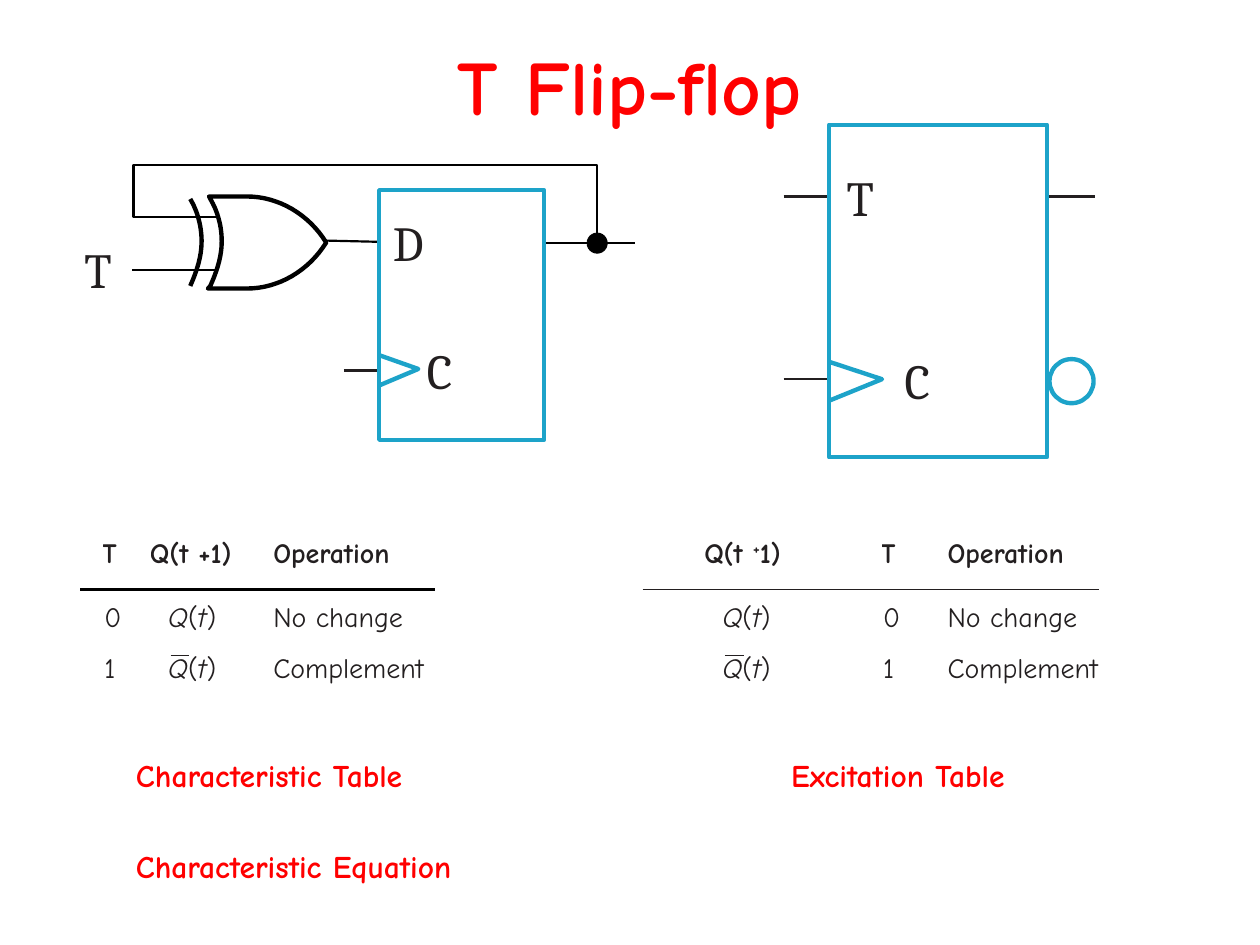
from dataclasses import dataclass

from lxml import etree
from pptx import Presentation
from pptx import util as u
from pptx.dml import color
from pptx.enum import shapes, text
from pptx.oxml import ns


@dataclass(frozen=True)
class Theme:
    """Colours, fonts and sizes of the slide."""
    red: str = "FF0000"
    black: str = "000000"
    ink: str = "231F20"
    blue: str = "1DA3C9"
    white: str = "FFFFFF"
    body_font: str = "Comic Neue"
    symbol_font: str = "Cambria"
    title_size: float = 44
    symbol_size: float = 28
    caption_size: float = 18
    table_size: float = 16
    wire: float = 1.25
    outline: float = 2.5
    hairline: float = 0.5


THEME = Theme()


def rgb(value):
    """Turn a hex string into a colour."""
    return color.RGBColor.from_string(value)


def format_font(font, name, size, colour, bold=False, italic=False):
    """Apply a complete font setting."""
    font.name, font.size = name, u.Pt(size)
    font.bold, font.italic = bold, italic
    font.color.rgb = rgb(colour)


def add_wire(canvas, start, end, colour=THEME.black, width=THEME.wire):
    """Draw a straight line between two points."""
    ends = [u.Pt(value) for value in (*start, *end)]
    connector = canvas.add_connector(shapes.MSO_CONNECTOR.STRAIGHT, *ends)
    connector.line.color.rgb = rgb(colour)
    connector.line.width = u.Pt(width)
    etree.SubElement(connector._element.spPr, ns.qn("a:effectLst"))


def style_shape(shape, line, width, fill=None):
    """Set the outline and fill of a shape."""
    shape.shadow.inherit = False
    shape.line.color.rgb = rgb(line)
    shape.line.width = u.Pt(width)
    if fill:
        shape.fill.solid()
        shape.fill.fore_color.rgb = rgb(fill)
    else:
        shape.fill.background()


def add_preset(canvas, kind, box, line, width, fill=None):
    """Draw a preset shape in a box."""
    shape = canvas.add_shape(kind, *[u.Pt(value) for value in box])
    style_shape(shape, line, width, fill)


def add_outline(canvas, points, line, width, fill=None, close=False):
    """Draw a freeform through the points."""
    vertices = [(u.Pt(x), u.Pt(y)) for x, y in points]
    builder = canvas.build_freeform(*vertices[0], scale=1.0)
    builder.add_line_segments(vertices[1:], close=close)
    style_shape(builder.convert_to_shape(), line, width, fill)


def curve(start, first, second, end, steps=16):
    """Sample a cubic curve as points."""
    weights = [((1 - t) ** 3, 3 * t * (1 - t) ** 2, 3 * t * t * (1 - t), t ** 3)
               for t in (step / steps for step in range(steps + 1))]
    controls = (start, first, second, end)
    return [tuple(sum(w * point[axis] for w, point in zip(row, controls))
                  for axis in (0, 1)) for row in weights]


def add_label(canvas, label, position):
    """Place a pin letter without margins."""
    frame = canvas.add_textbox(*[u.Pt(v) for v in (*position, 22, 34)]).text_frame
    frame.margin_left = frame.margin_right = frame.margin_top = frame.margin_bottom = 0
    frame.word_wrap = False
    frame.text = label
    format_font(frame.paragraphs[0].runs[0].font, THEME.symbol_font,
                THEME.symbol_size, THEME.ink)


def add_title(slide, title, box):
    """Place and format the title placeholder."""
    shape = slide.shapes.title
    shape.left, shape.top, shape.width, shape.height = [u.Pt(v) for v in box]
    frame = shape.text_frame
    frame.text = title
    frame.vertical_anchor = text.MSO_ANCHOR.MIDDLE
    paragraph = frame.paragraphs[0]
    paragraph.alignment = text.PP_ALIGN.CENTER
    format_font(paragraph.runs[0].font, THEME.body_font, THEME.title_size,
                THEME.red, bold=True)


def add_caption(slide, caption, box):
    """Place a red caption."""
    frame = slide.shapes.add_textbox(*[u.Pt(v) for v in box]).text_frame
    frame.word_wrap = True
    frame.text = caption
    format_font(frame.paragraphs[0].runs[0].font, THEME.body_font,
                THEME.caption_size, THEME.red, bold=True)


def add_xor_gate(canvas, left, top):
    """Draw an exclusive-or gate from its top left corner."""
    def back(offset):
        """Return the concave back edge, bottom to top."""
        x = left + offset
        middle = (x + 6.5, top + 25.5)
        return (curve((x, top + 51.1), (x + 3.6, top + 43), (x + 6.5, top + 34.6), middle)
                + curve(middle, (x + 6.5, top + 17.3), (x + 4.3, top + 8.6), (x, top + 1.4)))

    tip = (left + 77.7, top + 26.3)
    upper = curve((left + 32.4, top), (left + 50.4, top), (left + 67.7, top + 10.1), tip)
    lower = [(x, 2 * tip[1] - y) for x, y in reversed(upper)]
    body = back(11.5) + [(left + 10.8, top)] + upper + lower + [(left + 10.1, top + 52.6)]
    add_outline(canvas, body, THEME.black, THEME.outline, THEME.white, close=True)
    add_outline(canvas, back(0), THEME.black, THEME.outline)


def add_circuit(slide, left, top):
    """Draw the D flip-flop fed by an exclusive-or gate."""
    canvas = slide.shapes.add_group_shape().shapes

    def at(x, y):
        """Shift a point into the region."""
        return left + x, top + y

    add_wire(canvas, at(262.8, 44.6), at(314.6, 44.6))
    add_wire(canvas, at(148.3, 117.4), at(168.5, 117.4), THEME.ink)
    add_wire(canvas, at(138.2, 43.2), at(168.5, 43.9))
    add_preset(canvas, shapes.MSO_SHAPE.RECTANGLE, (*at(168.5, 14.4), 94.3, 142.6),
               THEME.blue, THEME.outline)
    add_xor_gate(canvas, *at(60.5, 18))
    feedback = [(293, 44.6), (293, 0), (28.1, 0), (28.1, 29.5), (76.3, 29.5)]
    add_outline(canvas, [at(*point) for point in feedback], THEME.black, THEME.wire)
    add_wire(canvas, at(27.4, 59.8), at(75.6, 59.8))
    add_preset(canvas, shapes.MSO_SHAPE.OVAL, (*at(287.3, 38.9), 11.5, 11.5),
               THEME.black, THEME.hairline, THEME.black)
    clock = [(168.5, 108.7), (190.8, 116.6), (168.5, 126)]
    add_outline(canvas, [at(*point) for point in clock], THEME.blue, THEME.outline)
    for label, x, y in (("T", 0, 42.5), ("D", 176.4, 27.4), ("C", 195.8, 100.1)):
        add_label(canvas, label, at(x, y))


def add_symbol(slide, left, top):
    """Draw the T flip-flop symbol."""
    canvas = slide.shapes.add_group_shape().shapes

    def at(x, y):
        """Shift a point into the region."""
        return left + x, top + y

    for x, y in ((0, 41), (0, 145.4), (151.2, 41)):
        add_wire(canvas, at(x, y), at(x + 27, y), THEME.ink)
    for kind, x, y, width, height in (
            (shapes.MSO_SHAPE.RECTANGLE, 25.9, 0, 124.6, 190),
            (shapes.MSO_SHAPE.OVAL, 151.9, 133.9, 25.2, 25.2)):
        add_preset(canvas, kind, (*at(x, y), width, height), THEME.blue, THEME.outline)
    clock = [(25.9, 135.4), (56.2, 145.4), (25.9, 157.7)]
    add_outline(canvas, [at(*point) for point in clock], THEME.blue, THEME.outline)
    for label, x, y in (("T", 36, 24.5), ("C", 69.1, 128.9)):
        add_label(canvas, label, at(x, y))


def add_state_table(slide, left, top, columns, plus, rule):
    """Place a table of (heading, width) columns with its rule and overline."""
    values = {"T": ("0", "1"), "Q": ("Q(t)", "Q(t)"),
              "Operation": ("No change", "Complement")}
    insets = {"T": 1.4, "Q": 10.4, "Operation": 0}
    heights = (29.5, 29, 29)
    frame = slide.shapes.add_table(3, 3, u.Pt(left), u.Pt(top),
                                   u.Pt(sum(width for _, width in columns)), u.Pt(sum(heights)))
    table = frame.table
    table.first_row = table.horz_banding = False
    for row, height in zip(table.rows, heights):
        row.height = u.Pt(height)
    x = left
    for index, (heading, width) in enumerate(columns):
        table.columns[index].width = u.Pt(width)
        header = ("Q(t ", "+", "1)") if heading == "Q" else (heading,)
        for row, content in enumerate((header, *values[heading])):
            cell = table.cell(row, index)
            cell.fill.background()
            cell.margin_left = u.Pt(insets[heading] if row else 0)
            cell.margin_top = u.Pt(7.2 if row else 0)
            cell.margin_right = cell.margin_bottom = 0
            formula = row > 0 and heading == "Q"
            for part in content if formula or not row else (content,):
                run = cell.text_frame.paragraphs[0].add_run()
                run.text = part
                format_font(run.font, THEME.body_font, THEME.table_size, THEME.ink,
                            bold=row == 0, italic=formula and part.isalpha())
                if part == "+" and plus:
                    run.font._element.set("baseline", str(plus))
        if heading == "Q":
            start = x + insets["Q"] + 1.4
            add_wire(slide.shapes, (start, top + 67), (start + 10.8, top + 67),
                     THEME.ink, THEME.hairline)
        x += width
    start, end, colour, width = rule
    add_wire(slide.shapes, (start, top + heights[0]), (end, top + heights[0]), colour, width)


def main():
    """Build the slide and save it."""
    presentation = Presentation()
    presentation.slide_width, presentation.slide_height = u.Pt(720), u.Pt(540)
    slide = presentation.slides.add_slide(presentation.slide_layouts[5])
    add_title(slide, "T Flip-flop", (36, 3.6, 648, 90))
    add_circuit(slide, 48.2, 94.3)
    add_symbol(slide, 447.8, 71.3)
    add_state_table(slide, 58.3, 307.4, (("T", 27.4), ("Q", 70.5), ("Operation", 100)),
                    0, (46, 248.4, THEME.black, 1.5))
    add_state_table(slide, 402.5, 307.4, (("Q", 100.8), ("T", 38.2), ("Operation", 100)),
                    30000, (367.2, 627.8, THEME.ink, THEME.hairline))
    for caption, left, top, width in (("Characteristic Table", 70.6, 428.4, 204),
                                      ("Excitation Table", 445, 428.4, 204),
                                      ("Characteristic Equation", 70.6, 480.2, 238)):
        add_caption(slide, caption, (left, top, width, 51))
    presentation.save("out.pptx")


main()
